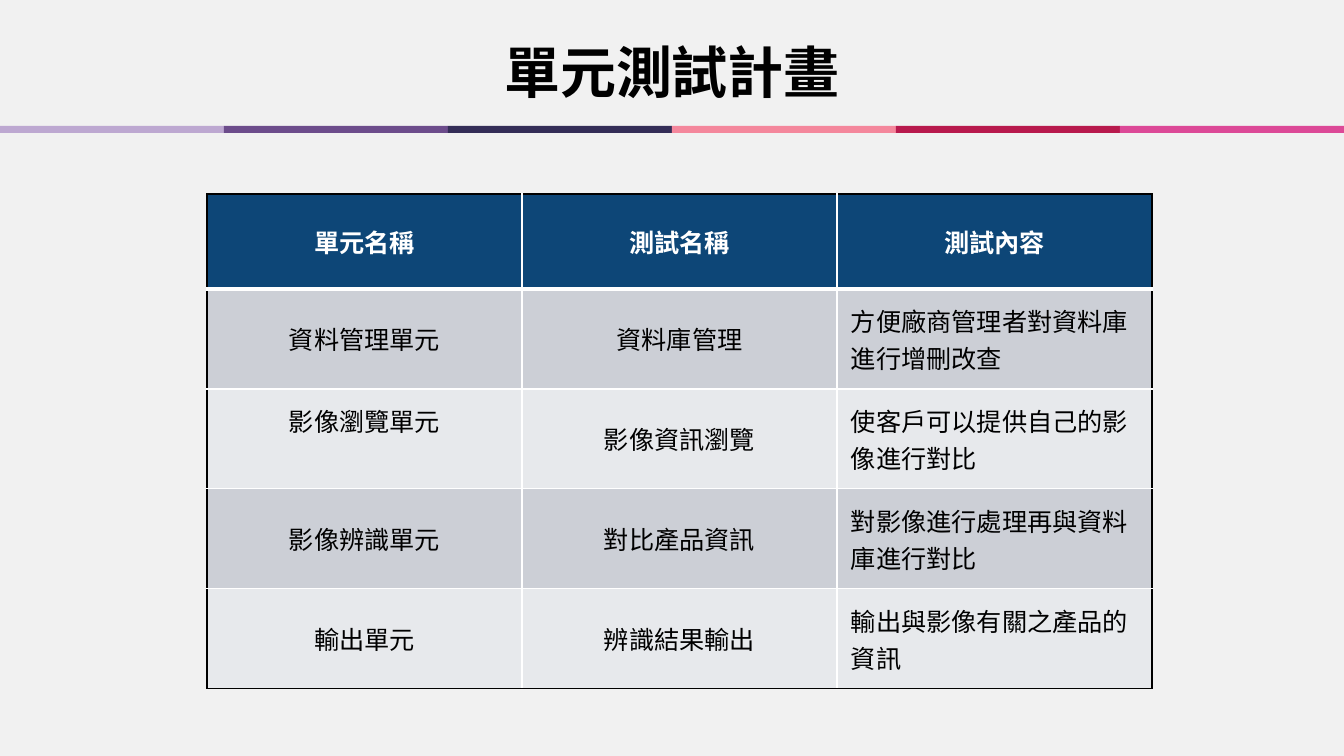
from lxml import etree
from pptx import Presentation
from pptx import util as u
from pptx.dml.color import RGBColor
from pptx.enum import shapes, text
from pptx.oxml.ns import qn

PX = 914400 / 100.8
FONT = "Noto Sans CJK SC"
COLORS = {
    "background": "F1F1F1", "black": "000000", "white": "FFFFFF",
    "header": "0D4677", "dark_row": "CCCFD6", "light_row": "E7E9EC",
}
STRIPE_COLORS = ["BDA8D1", "6C4C8B", "342D57", "F4879C", "B81A4D", "DC4997"]
UNIT_TESTS = [
    ["單元名稱", "測試名稱", "測試內容"],
    ["資料管理單元", "資料庫管理", "方便廠商管理者對資料庫進行增刪改查"],
    ["影像瀏覽單元", "影像資訊瀏覽", "使客戶可以提供自己的影像進行對比"],
    ["影像辨識單元", "對比產品資訊", "對影像進行處理再與資料庫進行對比"],
    ["輸出單元", "辨識結果輸出", "輸出與影像有關之產品的資訊"],
]
LAST_ROW, LAST_COLUMN = len(UNIT_TESTS) - 1, len(UNIT_TESTS[0]) - 1
CENTER, LEFT = text.PP_ALIGN.CENTER, text.PP_ALIGN.LEFT
MIDDLE, TOP = text.MSO_ANCHOR.MIDDLE, text.MSO_ANCHOR.TOP


def px(length):
    return u.Emu(round(length * PX))


def set_attributes(target, values):
    for name, value in values.items():
        setattr(target, name, value)


def paint(fill, color):
    fill.solid()
    fill.fore_color.rgb = RGBColor.from_string(color)


def write(frame, content, size, color, bold, alignment):
    paragraph = frame.paragraphs[0]
    paragraph.alignment = alignment
    run = paragraph.add_run()
    run.text = content
    set_attributes(run.font, {"name": FONT, "size": u.Pt(size), "bold": bold})
    run.font.color.rgb = RGBColor.from_string(color)
    east_asian = etree.SubElement(run.font._element, qn("a:ea"))
    east_asian.set("typeface", FONT)


def add_title(slide, content):
    title = slide.shapes.title
    set_attributes(title, {
        "left": px(458), "top": px(32), "width": px(428), "height": px(78),
    })
    set_attributes(title.text_frame, {
        "word_wrap": True, "auto_size": text.MSO_AUTO_SIZE.NONE,
        "vertical_anchor": MIDDLE,
    })
    write(title.text_frame, content, 40, COLORS["black"], True, CENTER)


def add_stripes(slide):
    width = 224
    for index, color in enumerate(STRIPE_COLORS):
        stripe = slide.shapes.add_shape(
            shapes.MSO_SHAPE.RECTANGLE, px(index * width), px(126), px(width), px(7))
        stripe.shadow.inherit = False
        paint(stripe.fill, color)
        stripe.line.fill.background()


def set_borders(cell, row, column):
    outer_edges = {
        "L": column == 0, "R": column == LAST_COLUMN,
        "T": row == 0, "B": row == LAST_ROW,
    }
    properties = cell._tc.get_or_add_tcPr()
    for index, (side, is_outer) in enumerate(outer_edges.items()):
        under_header = (row, side) in [(0, "B"), (1, "T")]
        line = etree.Element(qn(f"a:ln{side}"), w=str(u.Pt(3 if under_header else 1)))
        fill = etree.SubElement(line, qn("a:solidFill"))
        color = COLORS["black" if is_outer else "white"]
        etree.SubElement(fill, qn("a:srgbClr"), val=color)
        properties.insert(index, line)


def format_cell(cell, row, column, content):
    is_header = row == 0
    fill = "header" if is_header else "dark_row" if row % 2 else "light_row"
    paint(cell.fill, COLORS[fill])
    set_attributes(cell, {
        "margin_left": px(14), "margin_right": px(14),
        "margin_top": px(13), "margin_bottom": px(13),
        "vertical_anchor": TOP if (row, column) == (2, 0) else MIDDLE,
    })
    alignment = LEFT if column == LAST_COLUMN and not is_header else CENTER
    color = COLORS["white" if is_header else "black"]
    write(cell.text_frame, content, 18, color, is_header, alignment)
    set_borders(cell, row, column)


def add_test_table(slide):
    table = slide.shapes.add_table(
        len(UNIT_TESTS), len(UNIT_TESTS[0]), px(207), px(194), px(945), px(495)).table
    for column in table.columns:
        column.width = px(315)
    for row, values in enumerate(UNIT_TESTS):
        table.rows[row].height = px(100 if row else 95)
        for column, content in enumerate(values):
            format_cell(table.cell(row, column), row, column, content)


def main():
    presentation = Presentation()
    set_attributes(presentation, {"slide_width": px(1344), "slide_height": px(756)})
    slide = presentation.slides.add_slide(presentation.slide_layouts[5])
    paint(slide.background.fill, COLORS["background"])
    add_stripes(slide)
    add_title(slide, "單元測試計畫")
    add_test_table(slide)
    presentation.save("out.pptx")


if __name__ == "__main__":
    main()
